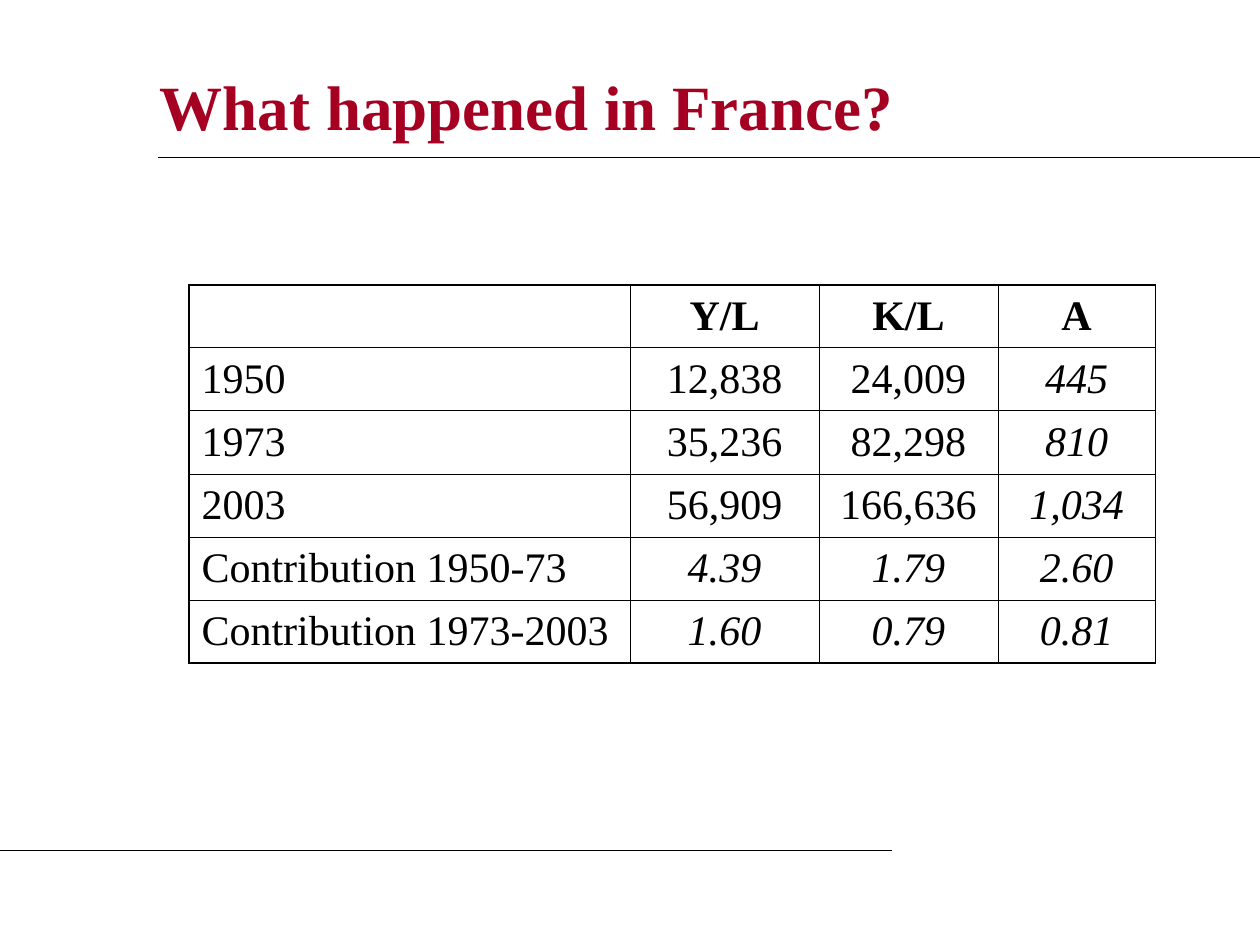
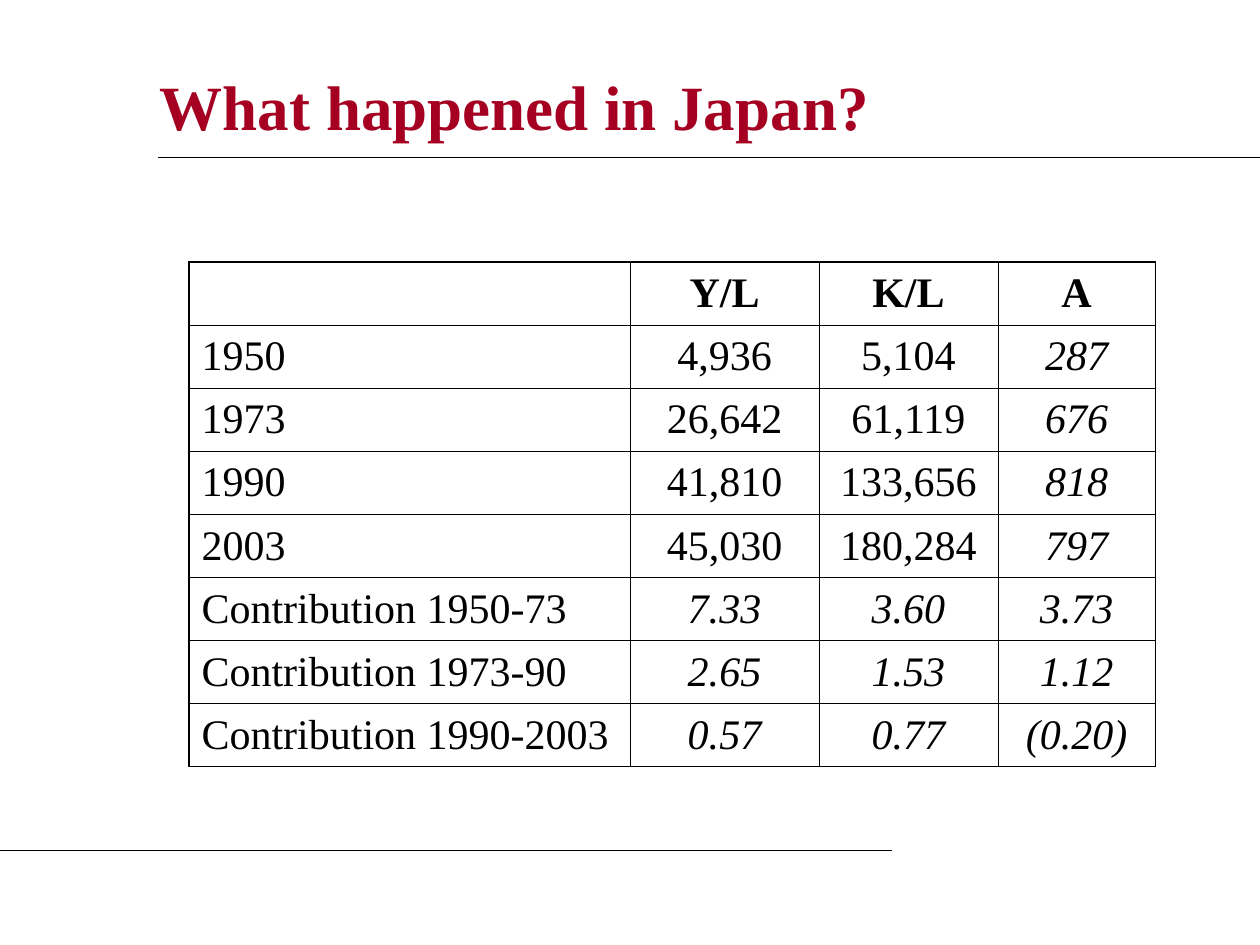
"""Build two slides on growth accounting in France and Japan."""
from dataclasses import dataclass

from lxml import etree
from pptx import Presentation
from pptx.dml.color import RGBColor
from pptx.enum.shapes import MSO_CONNECTOR
from pptx.enum.text import MSO_ANCHOR, PP_ALIGN
from pptx.oxml.ns import qn
from pptx.util import Inches, Pt

STRAIGHT = MSO_CONNECTOR.STRAIGHT
MIDDLE = MSO_ANCHOR.MIDDLE
LEFT, CENTER = PP_ALIGN.LEFT, PP_ALIGN.CENTER

COLORS = {"title": "A50021", "ink": "000000"}
FONT = "Times New Roman"
TITLE_SIZE, TABLE_SIZE = 36, 24
RULE_WIDTH, INNER_BORDER, OUTER_BORDER = 0.74, 0.45, 1.08
TABLE_LEFT, ROW_HEIGHT = 1.5, 0.5
COLUMN_WIDTHS = (3.5, 1.5, 1.42, 1.25)
HEADER = ("", "Y/L", "K/L", "A")


@dataclass(frozen=True)
class Rule:
    """A horizontal line across part of the page."""
    left: float
    right: float
    top: float


@dataclass(frozen=True)
class Country:
    """The title and table of one slide."""
    title: str
    table_top: float
    rows: tuple[tuple[str, ...], ...]


RULES = (Rule(1.25, 10, 1.25), Rule(0, 7.08, 6.75))
COUNTRIES = (
    Country("What happened in France?", 2.26, (
        ("1950", "12,838", "24,009", "445"),
        ("1973", "35,236", "82,298", "810"),
        ("2003", "56,909", "166,636", "1,034"),
        ("Contribution 1950-73", "4.39", "1.79", "2.60"),
        ("Contribution 1973-2003", "1.60", "0.79", "0.81"),
    )),
    Country("What happened in Japan?", 2.08, (
        ("1950", "4,936", "5,104", "287"),
        ("1973", "26,642", "61,119", "676"),
        ("1990", "41,810", "133,656", "818"),
        ("2003", "45,030", "180,284", "797"),
        ("Contribution 1950-73", "7.33", "3.60", "3.73"),
        ("Contribution 1973-90", "2.65", "1.53", "1.12"),
        ("Contribution 1990-2003", "0.57", "0.77", "(0.20)"),
    )),
)


def add_span(para, text: str, size: float, color: str,
             bold: bool = False, italic: bool = False) -> None:
    """Add one formatted run to a paragraph."""
    span = para.add_run()
    span.text = text
    span.font.name = FONT
    span.font.size = Pt(size)
    span.font.bold = bold
    span.font.italic = italic
    span.font.color.rgb = RGBColor.from_string(COLORS[color])


def add_title(page, text: str) -> None:
    """Add the slide title."""
    box = page.shapes.add_textbox(Inches(1.17), Inches(0.25), Inches(8.5), Inches(1.17))
    frame = box.text_frame
    frame.word_wrap = True
    frame.vertical_anchor = MIDDLE
    add_span(frame.paragraphs[0], text, TITLE_SIZE, "title", bold=True)


def add_rule(page, rule: Rule) -> None:
    """Draw a thin line without a shadow."""
    line = page.shapes.add_connector(STRAIGHT, Inches(rule.left), Inches(rule.top),
                                     Inches(rule.right), Inches(rule.top))
    line.line.width = Pt(RULE_WIDTH)
    line.line.color.rgb = RGBColor.from_string(COLORS["ink"])
    etree.SubElement(line._element.spPr, qn("a:effectLst"))


def add_borders(cell, outer_sides: dict[str, bool]) -> None:
    """Draw the four cell borders, heavier on the table's edge."""
    properties = cell._tc.get_or_add_tcPr()
    for side, is_outer in outer_sides.items():
        width = Pt(OUTER_BORDER if is_outer else INNER_BORDER)
        border = etree.SubElement(properties, qn(f"a:ln{side}"), w=str(int(width)))
        fill = etree.SubElement(border, qn("a:solidFill"))
        etree.SubElement(fill, qn("a:srgbClr"), val=COLORS["ink"])


def add_growth_table(page, country: Country) -> None:
    """Add the table, with computed figures in italics."""
    rows = (HEADER, *country.rows)
    last_row, last_column = len(rows) - 1, len(HEADER) - 1
    table = page.shapes.add_table(
        len(rows), len(HEADER), Inches(TABLE_LEFT), Inches(country.table_top),
        Inches(sum(COLUMN_WIDTHS)), Inches(ROW_HEIGHT * len(rows))).table
    table.first_row = table.horz_banding = False
    for column, width in zip(table.columns, COLUMN_WIDTHS):
        column.width = Inches(width)
    for r, values in enumerate(rows):
        table.rows[r].height = Inches(ROW_HEIGHT)
        for c, text in enumerate(values):
            cell = table.cell(r, c)
            cell.vertical_anchor = MIDDLE
            add_borders(cell, {"L": c == 0, "R": c == last_column,
                               "T": r == 0, "B": r == last_row})
            cell.fill.background()
            if not text:
                continue
            para = cell.text_frame.paragraphs[0]
            para.alignment = CENTER if c else LEFT
            para.space_before = Pt(6)
            computed = c == last_column or values[0].startswith("Contribution")
            add_span(para, text, TABLE_SIZE, "ink", bold=r == 0,
                     italic=r > 0 and c > 0 and computed)


def add_page(deck, country: Country) -> None:
    """Build one country's slide."""
    page = deck.slides.add_slide(deck.slide_layouts[6])
    add_title(page, country.title)
    for rule in RULES:
        add_rule(page, rule)
    add_growth_table(page, country)


def main() -> None:
    """Build and save the deck."""
    deck = Presentation()
    deck.slide_width, deck.slide_height = Inches(10), Inches(7.5)
    for country in COUNTRIES:
        add_page(deck, country)
    deck.save("out.pptx")


main()
